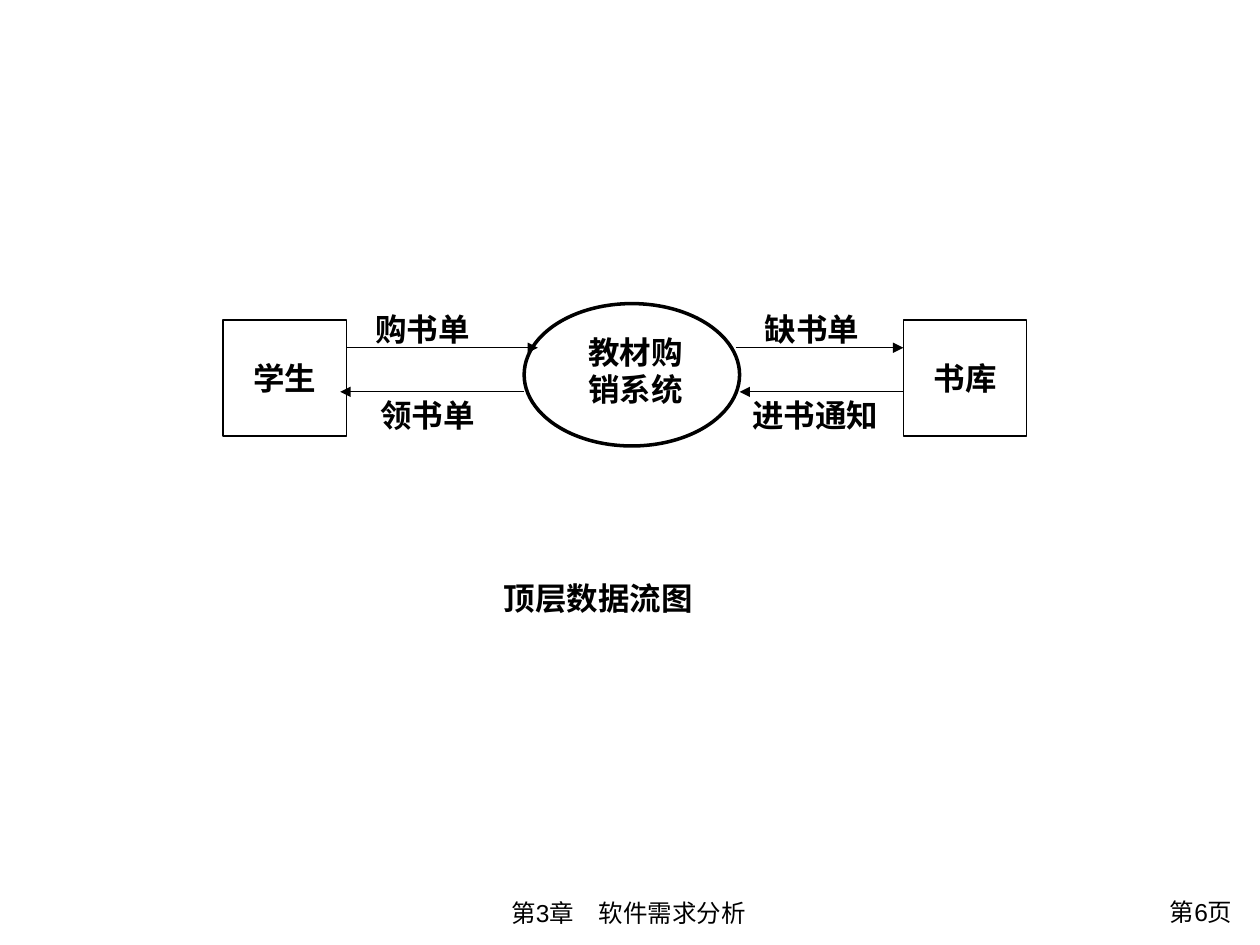
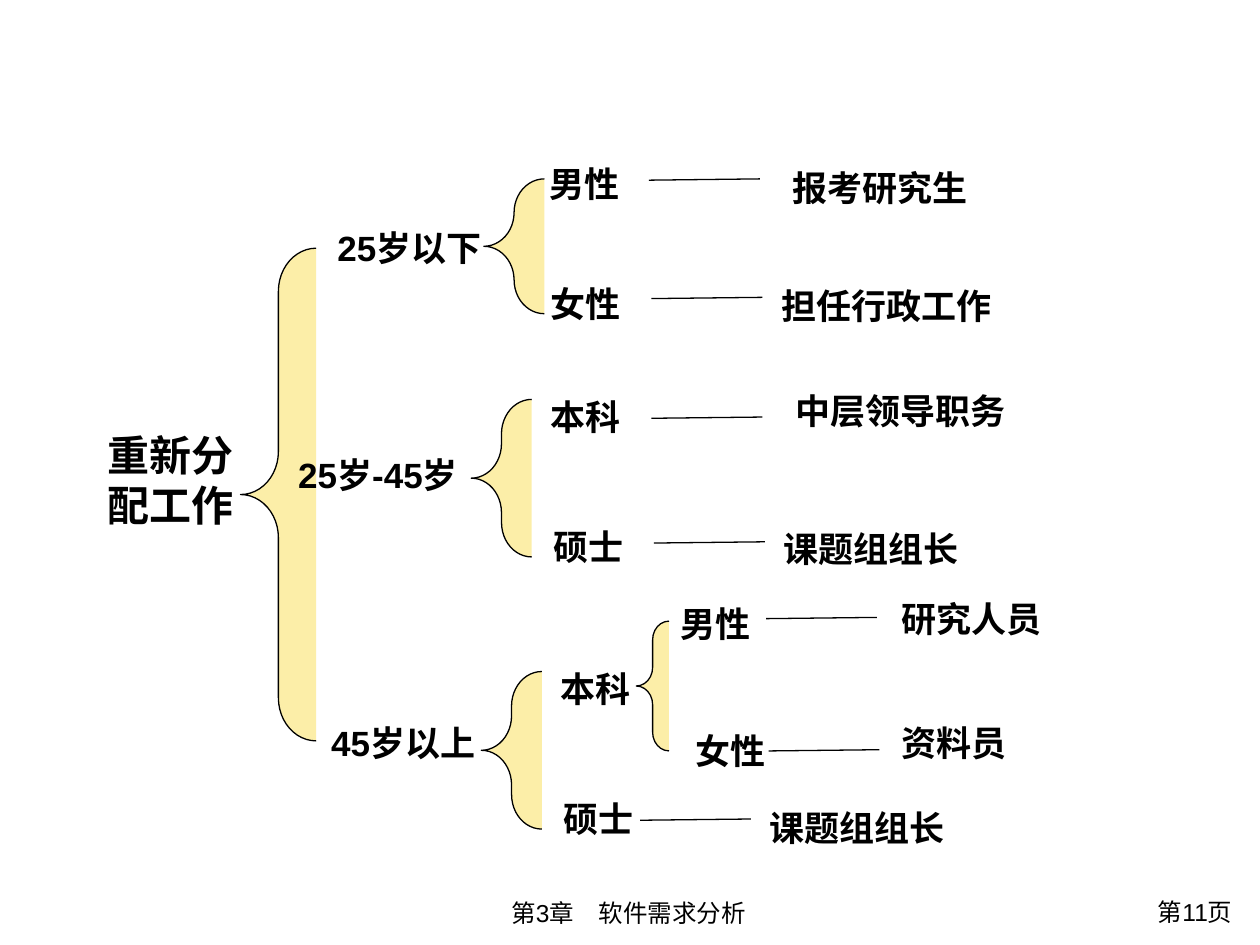
from lxml.etree import SubElement
from pptx import Presentation
from pptx.dml.color import RGBColor
from pptx.enum.shapes import MSO_CONNECTOR as CONN, MSO_SHAPE as SHAPE
from pptx.enum.text import MSO_ANCHOR as ANCHOR, PP_ALIGN as ALIGN
from pptx.oxml.ns import qn
from pptx.util import Inches, Pt

BLACK = RGBColor(0x00, 0x00, 0x00)
WHITE = RGBColor(0xFF, 0xFF, 0xFF)
YELLOW = RGBColor(0xFB, 0xDF, 0x53)
FONT = "Arial"
LEFT, CENTER, RIGHT = ALIGN.LEFT, ALIGN.CENTER, ALIGN.RIGHT

FOOTER = ("第3章　软件需求分析", (2.35, 7.08, 5.28, 0.34))
PAGE_AT = (8.54, 7.07, 1.34, 0.37)
FOOTER_FONT = {"size": Pt(14), "bold": False}
FLOW_FONT = {"size": Pt(18), "bold": True}
ROOT_FONT = {"size": Pt(24), "bold": True}
TREE_FONT = {"size": Pt(20), "bold": True}

ENTITY_SIZE, ENTITY_TOP = (0.98, 0.92), 2.54
ENTITIES = [("学生", 1.77), ("书库", 7.17)]
SYSTEM_AT = (4.16, 2.41, 1.71, 1.13)
SYSTEM_TEXT = ("教材购销系统", (4.57, 2.59, 1.06, 0.7))
CAPTION = ("顶层数据流图", (3.9, 4.55, 1.97, 0.4))
UPPER, LOWER = (2.41, 2.76), (3.09, 3.11)
FLOWS = [
    ("购书单", 2.88, 1.24, UPPER, 2.75, 4.27),
    ("领书单", 2.92, 1.24, LOWER, 4.16, 2.7),
    ("缺书单", 5.97, 1.24, UPPER, 5.84, 7.17),
    ("进书通知", 5.87, 1.38, LOWER, 7.17, 5.87),
]

ROOT = ("重新分配工作", (0.75, 3.36, 1.21, 0.9))
BRACES = [
    (1.91, 1.97, 0.6, 3.91),
    (3.84, 1.42, 0.48, 1.07),
    (3.74, 3.17, 0.48, 1.25),
    (3.82, 5.33, 0.48, 1.25),
    (5.05, 4.93, 0.26, 1.03),
]
BRACE_CURVE = 0.57
ROW_H, LEVEL_W = 0.44, 1.04
DASH_W, DASH_RISE = 0.88, 0.01
AGES = [
    ("25岁以下", (2.49, 1.75, 1.52, ROW_H)),
    ("25岁-45岁", (2.24, 3.55, 1.52, 0.77)),
    ("45岁以上", (2.48, 5.68, 1.44, ROW_H)),
]
DEGREE = ("本科", (4.21, 5.25, LEVEL_W, ROW_H))
LEAVES = [
    ("男性", (4.12, 1.24), (5.15, 1.43), "报考研究生", (6.13, 1.27), 1.71, CENTER),
    ("女性", (4.13, 2.19), (5.17, 2.37), "担任行政工作", (6.1, 2.21), 2.28, LEFT),
    ("本科", (4.13, 3.09), (5.17, 3.32), "中层领导职务", (6.14, 3.04), 2.01, CENTER),
    ("硕士", (4.15, 4.12), (5.19, 4.31), "课题组组长", (6.12, 4.14), 2.28, LEFT),
    ("男性", (5.16, 4.73), (6.08, 4.91), "研究人员", (6.88, 4.69), 1.66, CENTER),
    ("女性", (5.28, 5.74), (6.1, 5.96), "资料员", (7.06, 5.68), 1.23, LEFT),
    ("硕士", (4.23, 6.28), (5.08, 6.51), "课题组组长", (6.01, 6.35), 2.28, LEFT),
]


def inches(values):
    return [Inches(v) for v in values]


def write(tf, text, fmt, align, anchor=ANCHOR.TOP, wrap=True):
    tf.word_wrap = wrap
    tf.vertical_anchor = anchor
    p = tf.paragraphs[0]
    p.alignment = align
    r = p.add_run()
    r.text = text
    r.font.color.rgb = BLACK
    for name, value in {"name": FONT, **fmt}.items():
        setattr(r.font, name, value)


def add_text(s, text, at, fmt, align=LEFT):
    write(s.shapes.add_textbox(*inches(at)).text_frame, text, fmt, align)


def add_outlined(s, kind, at, fill=WHITE, weight=0.75):
    sp = s.shapes.add_shape(kind, *inches(at))
    sp.shadow.inherit = False
    sp.fill.solid()
    sp.fill.fore_color.rgb = fill
    sp.line.color.rgb = BLACK
    sp.line.width = Pt(weight)
    return sp


def add_line(s, x1, y1, x2, y2, arrow=False):
    c = s.shapes.add_connector(CONN.STRAIGHT, *inches((x1, y1, x2, y2)))
    c.line.color.rgb = BLACK
    c.line.width = Pt(0.75)
    if arrow:
        SubElement(c.line._get_or_add_ln(), qn("a:tailEnd"), type="triangle")
    SubElement(c._element.spPr, qn("a:effectLst"))


def add_brace(s, at):
    sp = add_outlined(s, SHAPE.LEFT_BRACE, at, YELLOW)
    sp.adjustments[0] = BRACE_CURVE
    color = sp._element.spPr.find(qn("a:solidFill")).find(qn("a:srgbClr"))
    SubElement(color, qn("a:alpha"), val="50000")


def new_slide(prs, page):
    s = prs.slides.add_slide(prs.slide_layouts[6])
    add_text(s, *FOOTER, FOOTER_FONT, CENTER)
    add_text(s, f"第{page}页", PAGE_AT, FOOTER_FONT, RIGHT)
    return s


def data_flow_slide(prs):
    s = new_slide(prs, 6)
    add_outlined(s, SHAPE.OVAL, SYSTEM_AT, weight=2)
    add_text(s, *SYSTEM_TEXT, FLOW_FONT)
    for name, x in ENTITIES:
        sp = add_outlined(s, SHAPE.RECTANGLE, (x, ENTITY_TOP, *ENTITY_SIZE))
        write(sp.text_frame, name, FLOW_FONT, CENTER, ANCHOR.MIDDLE, False)
    for name, x, w, (text_y, line_y), start, end in FLOWS:
        add_text(s, name, (x, text_y, w, 0.4), FLOW_FONT)
        add_line(s, start, line_y, end, line_y, arrow=True)
    add_text(s, *CAPTION, FLOW_FONT)


def decision_tree_slide(prs):
    s = new_slide(prs, 11)
    for at in BRACES:
        add_brace(s, at)
    add_text(s, *ROOT, ROOT_FONT, CENTER)
    for name, at in [*AGES, DEGREE]:
        add_text(s, name, at, TREE_FONT, CENTER)
    for name, pos, (x, y), result, result_pos, w, align in LEAVES:
        add_text(s, name, (*pos, LEVEL_W, ROW_H), TREE_FONT, CENTER)
        add_line(s, x, y, x + DASH_W, y - DASH_RISE)
        add_text(s, result, (*result_pos, w, ROW_H), TREE_FONT, align)


def main():
    prs = Presentation()
    prs.slide_width, prs.slide_height = inches((10, 7.5))
    data_flow_slide(prs)
    decision_tree_slide(prs)
    prs.save("out.pptx")


if __name__ == "__main__":
    main()
